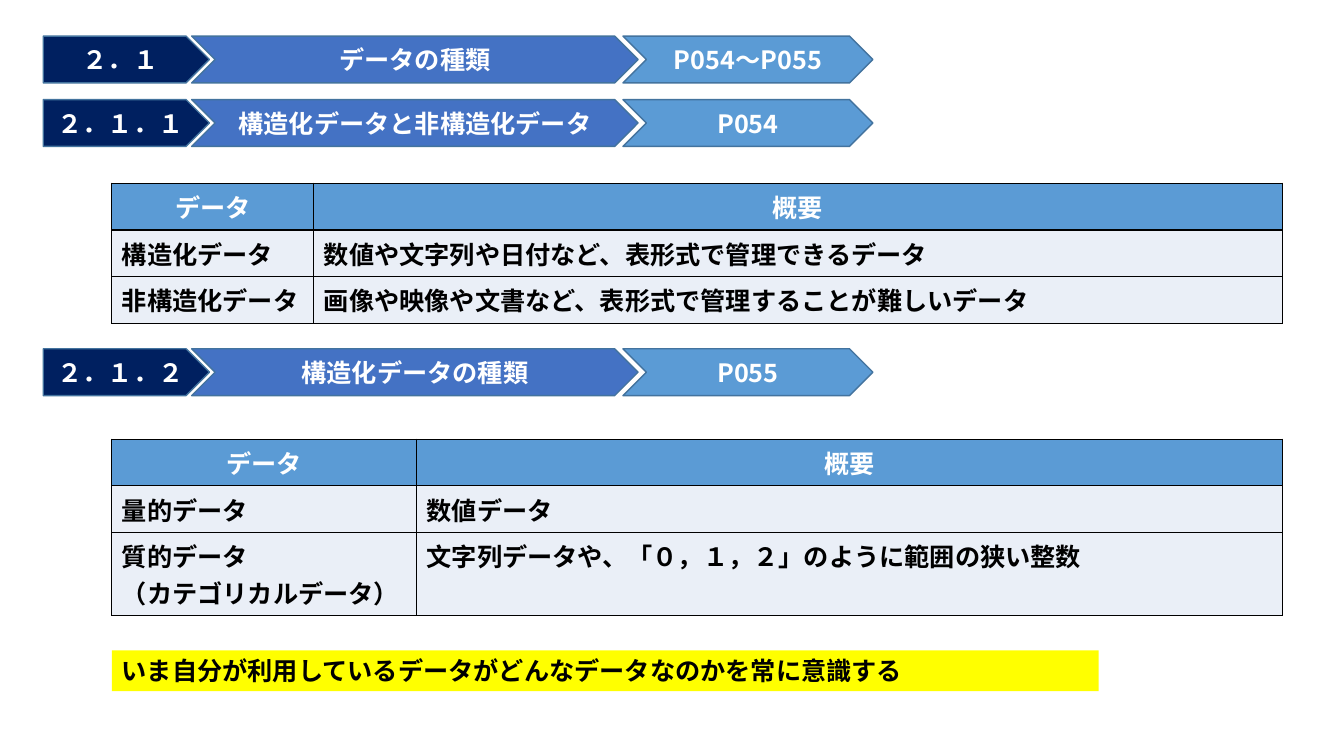
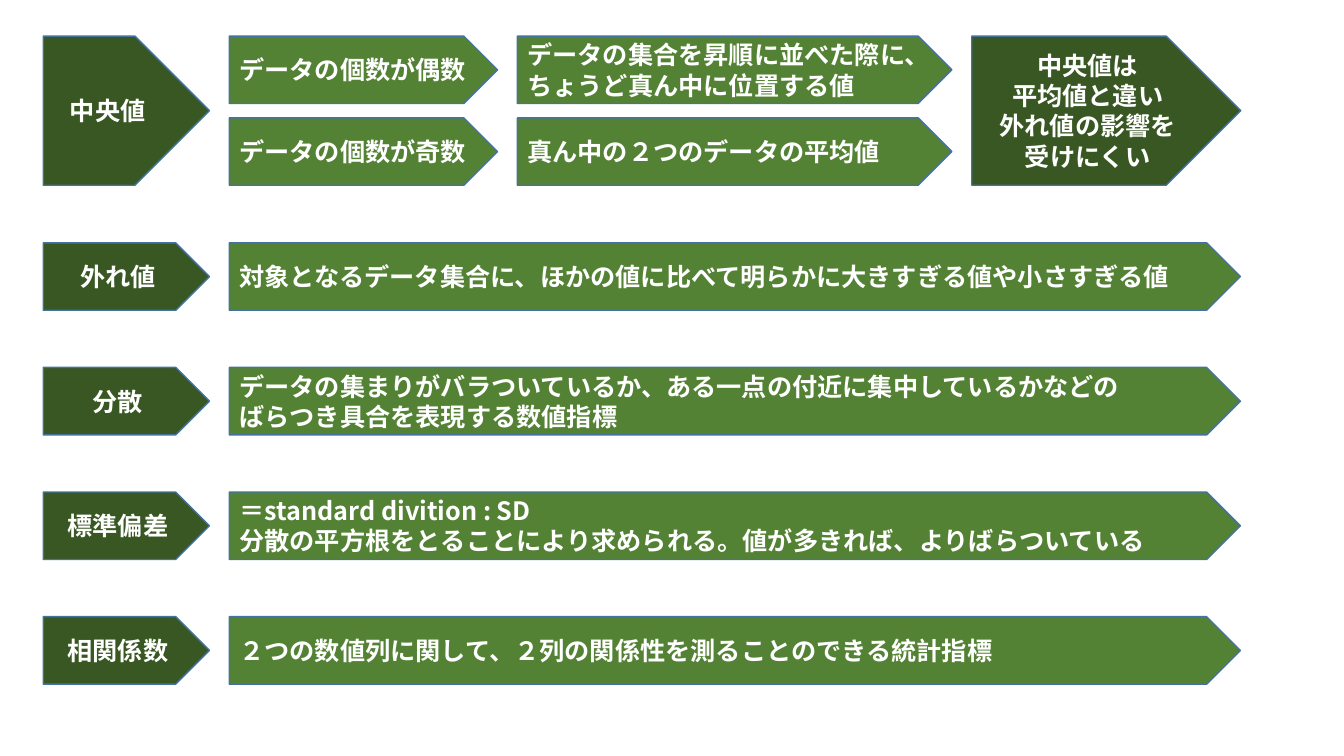
from pptx import Presentation
from pptx.dml.color import RGBColor
from pptx.enum.shapes import MSO_SHAPE
from pptx.enum.text import MSO_ANCHOR, PP_ALIGN
from pptx.oxml.ns import qn
from pptx.util import Cm, Pt
from lxml.etree import SubElement, Element

NAVY = RGBColor(0x00, 0x20, 0x60)
BLUE = RGBColor(0x44, 0x72, 0xC4)
SKY = RGBColor(0x5B, 0x9B, 0xD5)
PALE = RGBColor(0xEA, 0xEF, 0xF7)
OUTLINE = RGBColor(0x43, 0x73, 0x9E)
DARK_GREEN = RGBColor(0x38, 0x57, 0x23)
GREEN = RGBColor(0x54, 0x82, 0x35)
YELLOW = RGBColor(0xFF, 0xFF, 0x00)
WHITE = RGBColor(0xFF, 0xFF, 0xFF)
BLACK = RGBColor(0x00, 0x00, 0x00)

FONT = "Noto Sans CJK JP"
LEFT = 1.09
TOP = 0.91
TERM_WIDTH = 4.19
BANNER_HEIGHT = 1.18
TABLE_LEFT = 2.82
TABLE_WIDTH = 29.49
TABLE_ROW_HEIGHT = 1.04
GAP = 0.5
ARROW_HEIGHT = 1.7
ROW_PITCH = 3.14


def write_text(frame, text, color=WHITE, align=PP_ALIGN.LEFT, size=18):
    frame.word_wrap = True
    for index, line in enumerate(text.split("\n")):
        paragraph = frame.paragraphs[0] if index == 0 else frame.add_paragraph()
        paragraph.alignment = align
        run = paragraph.add_run()
        run.text = line
        run.font.name = FONT
        run.font.size = Pt(size)
        run.font.bold = True
        run.font.color.rgb = color
        SubElement(run.font._element, qn("a:ea"), typeface=FONT)


def add_block(slide, kind, box, text, fill, line=OUTLINE, **text_format):
    shape = slide.shapes.add_shape(kind, *map(Cm, box))
    shape.shadow.inherit = False
    shape.fill.solid()
    shape.fill.fore_color.rgb = fill
    if line is None:
        shape.line.fill.background()
    else:
        shape.line.color.rgb = line
        shape.line.width = Pt(1)
    shape.text_frame.vertical_anchor = MSO_ANCHOR.MIDDLE
    write_text(shape.text_frame, text, **text_format)


def add_banner(slide, top, number, title, pages):
    parts = [
        (MSO_SHAPE.PENTAGON, LEFT, TERM_WIDTH, number, NAVY),
        (MSO_SHAPE.CHEVRON, 4.83, 11.25, title, BLUE),
        (MSO_SHAPE.CHEVRON, 15.7, 6.3, pages, SKY),
    ]
    for kind, left, width, text, fill in parts:
        add_block(slide, kind, (left, top, width, BANNER_HEIGHT), text, fill,
                  align=PP_ALIGN.CENTER)


def add_borders(cell):
    properties = cell._tc.get_or_add_tcPr()
    for index, side in enumerate(("lnL", "lnR", "lnT", "lnB")):
        border = Element(qn(f"a:{side}"), w=str(Pt(1)))
        fill = SubElement(border, qn("a:solidFill"))
        SubElement(fill, qn("a:srgbClr"), val=str(BLACK))
        properties.insert(index, border)


def add_data_table(slide, top, first_width, rows):
    box = (TABLE_LEFT, top, TABLE_WIDTH, TABLE_ROW_HEIGHT * len(rows))
    table = slide.shapes.add_table(len(rows), 2, *map(Cm, box)).table
    table.horz_banding = False
    table.columns[0].width = Cm(first_width)
    table.columns[1].width = Cm(TABLE_WIDTH - first_width)
    for row_index, row in enumerate(rows):
        header = row_index == 0
        table.rows[row_index].height = Cm(TABLE_ROW_HEIGHT)
        for column_index, text in enumerate(row):
            cell = table.cell(row_index, column_index)
            cell.fill.solid()
            cell.fill.fore_color.rgb = SKY if header else PALE
            write_text(cell.text_frame, text,
                       color=WHITE if header else BLACK,
                       align=PP_ALIGN.CENTER if header else PP_ALIGN.LEFT)
            add_borders(cell)


def add_term(slide, box, text):
    add_block(slide, MSO_SHAPE.PENTAGON, box, text, DARK_GREEN,
              align=PP_ALIGN.CENTER)


def add_explanation(slide, box, text):
    add_block(slide, MSO_SHAPE.PENTAGON, box, text, GREEN)


def add_median(slide, left, top, height):
    case_left = left + TERM_WIDTH + GAP
    case_width, value_width, remark_width = 6.76, 10.95, 6.78
    value_left = case_left + case_width + GAP
    remark_left = value_left + value_width + GAP
    add_term(slide, (left, top, TERM_WIDTH, height), "中央値")
    cases = [
        ("データの個数が偶数", "データの集合を昇順に並べた際に、ちょうど真ん中に位置する値"),
        ("データの個数が奇数", "真ん中の２つのデータの平均値"),
    ]
    for index, (case, value) in enumerate(cases):
        case_top = top + index * (height - ARROW_HEIGHT)
        add_explanation(slide, (case_left, case_top, case_width, ARROW_HEIGHT), case)
        add_explanation(slide, (value_left, case_top, value_width, ARROW_HEIGHT), value)
    add_term(slide, (remark_left, top, remark_width, height),
             "中央値は\n平均値と違い\n外れ値の影響を\n受けにくい")


def add_definition(slide, left, top, term, explanation):
    add_term(slide, (left, top, TERM_WIDTH, ARROW_HEIGHT), term)
    add_explanation(slide, (left + TERM_WIDTH + GAP, top, 25.48, ARROW_HEIGHT),
                    explanation)


def build_data_types(slide):
    add_banner(slide, TOP, "２．１", "データの種類", "P054～P055")
    add_banner(slide, 2.51, "２．１．１", "構造化データと非構造化データ", "P054")
    add_data_table(slide, 4.62, 5.09, [
        ("データ", "概要"),
        ("構造化データ", "数値や文字列や日付など、表形式で管理できるデータ"),
        ("非構造化データ", "画像や映像や文書など、表形式で管理することが難しいデータ"),
    ])
    add_banner(slide, 8.79, "２．１．２", "構造化データの種類", "P055")
    add_data_table(slide, 11.07, 7.68, [
        ("データ", "概要"),
        ("量的データ", "数値データ"),
        ("質的データ\n（カテゴリカルデータ）",
         "文字列データや、「０，１，２」のように範囲の狭い整数"),
    ])
    add_block(slide, MSO_SHAPE.RECTANGLE, (TABLE_LEFT, 16.39, 24.87, 1.03),
              "いま自分が利用しているデータがどんなデータなのかを常に意識する",
              YELLOW, line=None, color=BLACK)


def build_statistics(slide):
    add_median(slide, LEFT, TOP, 3.76)
    definitions = [
        ("外れ値", "対象となるデータ集合に、ほかの値に比べて明らかに大きすぎる値や小さすぎる値"),
        ("分散", "データの集まりがバラついているか、ある一点の付近に集中しているかなどの\n"
                 "ばらつき具合を表現する数値指標"),
        ("標準偏差", "＝standard divition : SD\n"
                     "分散の平方根をとることにより求められる。値が多きれば、よりばらついている"),
        ("相関係数", "２つの数値列に関して、２列の関係性を測ることのできる統計指標"),
    ]
    for index, (term, explanation) in enumerate(definitions):
        add_definition(slide, LEFT, 6.12 + index * ROW_PITCH, term, explanation)


presentation = Presentation()
presentation.slide_width = Cm(33.87)
presentation.slide_height = Cm(19.05)
for build in (build_data_types, build_statistics):
    build(presentation.slides.add_slide(presentation.slide_layouts[6]))
presentation.save("out.pptx")
